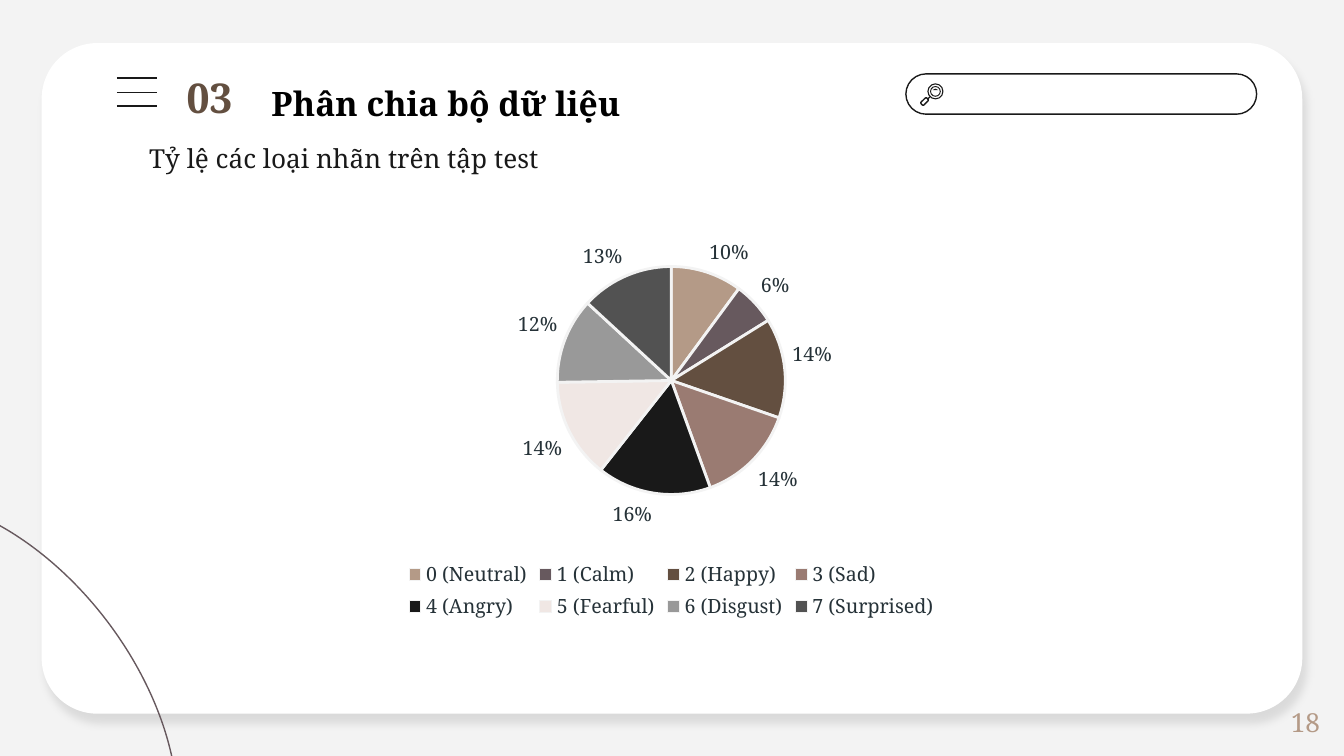
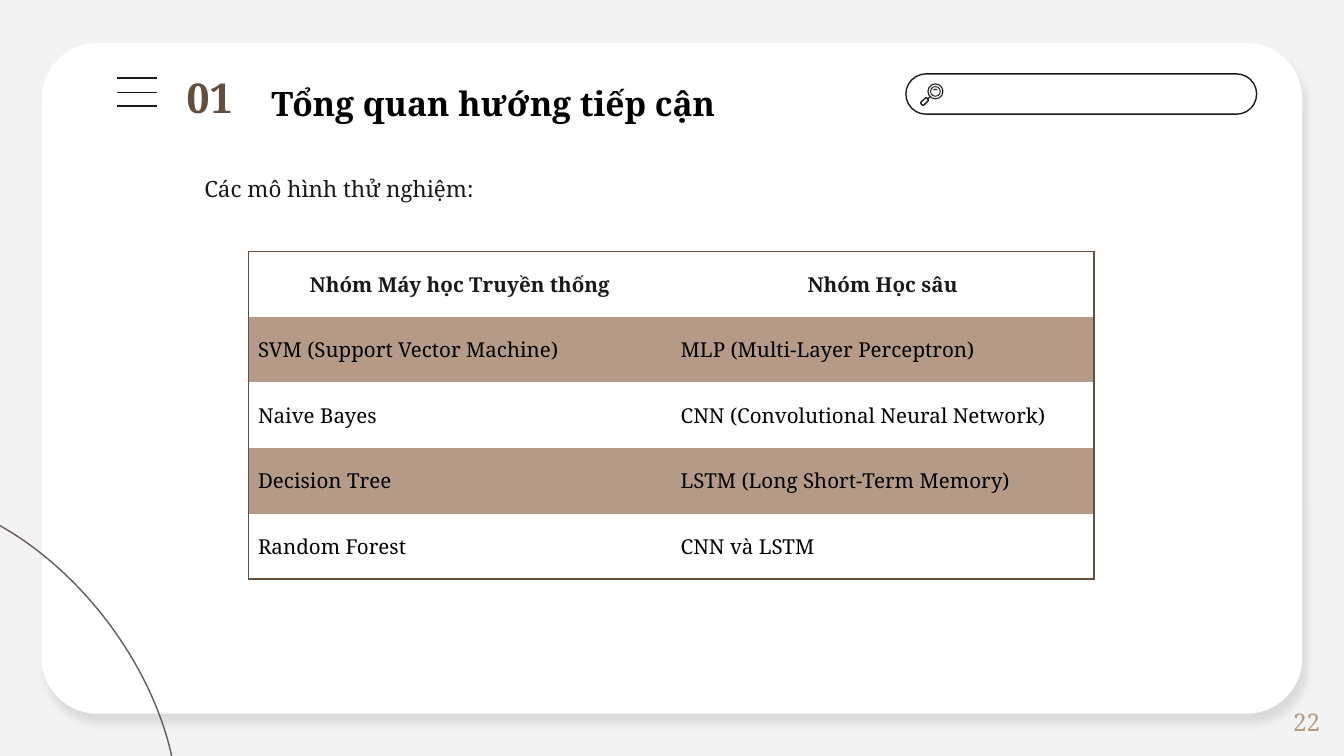
from lxml.etree import SubElement
from pptx import Presentation
from pptx.chart.data import CategoryChartData
from pptx.dml.color import RGBColor
from pptx.enum.chart import XL_CHART_TYPE, XL_LABEL_POSITION, XL_LEGEND_POSITION
from pptx.enum.shapes import MSO_CONNECTOR, MSO_SHAPE as SHAPE
from pptx.enum.text import MSO_ANCHOR as ANCHOR, MSO_AUTO_SIZE, PP_ALIGN as ALIGN
from pptx.oxml.ns import qn
from pptx.util import Inches, Pt

FONT = "Noto Serif"
COLORS = {
    "background": "F3F3F3",
    "panel": "FFFFFF",
    "ink": "191919",
    "black": "000000",
    "plum": "67595E",
    "brown": "634F40",
    "tan": "B49A87",
    "chart_text": "263238",
    "rose": "9A7B72",
    "blush": "F0E7E4",
    "gray": "999999",
    "dark_gray": "525252",
}
NO_GRID_STYLE = "{2D5ABB26-0587-4C30-8999-92F81FD0307C}"


def color(name):
    return RGBColor.from_string(COLORS[name])


def box(*lengths):
    return [Inches(length) for length in lengths]


# Text
def style_font(font, size, color_name, bold=False):
    font.name = FONT
    font.size = Pt(size)
    font.bold = bold
    font.color.rgb = color(color_name)


def set_text(frame, text, size, color_name, bold=False, align=ALIGN.LEFT, spacing=1.0):
    frame.text = text
    paragraph = frame.paragraphs[0]
    paragraph.alignment = align
    paragraph.line_spacing = spacing
    paragraph.space_before = Pt(0)
    style_font(paragraph.runs[0].font, size, color_name, bold)
    return paragraph


def fill_placeholder(shape, at, text, size, color_name, **options):
    shape.left, shape.top, shape.width, shape.height = box(*at)
    frame = shape.text_frame
    frame.word_wrap = True
    frame.auto_size = MSO_AUTO_SIZE.NONE
    frame.vertical_anchor = ANCHOR.TOP
    frame.margin_left = frame.margin_right = Inches(0.1)
    frame.margin_top = frame.margin_bottom = Inches(0.1)
    return set_text(frame, text, size, color_name, **options)


def add_label(slide, at, text, size, color_name, anchor=ANCHOR.TOP, **options):
    frame = slide.shapes.add_textbox(*box(*at)).text_frame
    frame.word_wrap = True
    frame.vertical_anchor = anchor
    set_text(frame, text, size, color_name, **options)


# Shapes and lines
def style_shape(shape, fill=None, line=None):
    shape.shadow.inherit = False
    if fill:
        shape.fill.solid()
        shape.fill.fore_color.rgb = color(fill)
    else:
        shape.fill.background()
    if line:
        shape.line.color.rgb = color(line)
        shape.line.width = Pt(0.75)
    else:
        shape.line.fill.background()


def add_shape(slide, kind, at, fill=None, line=None, adjust=None, rotation=0):
    shape = slide.shapes.add_shape(kind, *box(*at))
    style_shape(shape, fill, line)
    if adjust is not None:
        shape.adjustments[0] = adjust
    shape.rotation = rotation
    return shape


def add_line(slide, start, end):
    line = slide.shapes.add_connector(MSO_CONNECTOR.STRAIGHT, *box(*start, *end))
    line.line.color.rgb = color("ink")
    line.line.width = Pt(0.75)
    SubElement(line.element.spPr, qn("a:effectLst"))


def add_soft_shadow(shape):
    effects = shape.element.spPr.find(qn("a:effectLst"))
    shadow = SubElement(effects, qn("a:outerShdw"), blurRad=str(Pt(4.5)),
                        dist=str(Pt(6)), dir=str(68 * 60000),
                        algn="bl", rotWithShape="0")
    tint = SubElement(shadow, qn("a:srgbClr"), val=COLORS["black"])
    SubElement(tint, qn("a:alpha"), val="10000")


# Shared frame, kept on the layout
def add_magnifier(slide):
    add_shape(slide, SHAPE.DONUT, (6.9, 0.62, 0.12, 0.12), fill="ink", adjust=0.07)
    add_shape(slide, SHAPE.DONUT, (6.92, 0.64, 0.08, 0.08), fill="ink", adjust=0.09)
    add_shape(slide, SHAPE.ROUNDED_RECTANGLE, (6.85, 0.74, 0.06, 0.03),
              line="ink", adjust=0.3, rotation=-45)
    add_line(slide, (6.9, 0.74), (6.92, 0.72))
    builder = slide.shapes.build_freeform(Inches(6.94), Inches(0.67), scale=1.0)
    builder.add_line_segments([box(6.96, 0.66), box(6.98, 0.67), box(6.96, 0.67)])
    style_shape(builder.convert_to_shape(), fill="ink")


def draw_frame(slide):
    panel = add_shape(slide, SHAPE.ROUNDED_RECTANGLE, (0.31, 0.32, 9.38, 4.99),
                      fill="panel", adjust=0.083)
    add_soft_shadow(panel)
    add_shape(slide, SHAPE.OVAL, (-1.96, 4.17, 3.68, 2.31), line="plum", rotation=53)
    for y in (0.58, 0.69, 0.79):
        add_line(slide, (0.87, y), (1.17, y))
    add_shape(slide, SHAPE.ROUNDED_RECTANGLE, (6.74, 0.55, 2.61, 0.3),
              line="ink", adjust=0.5)
    add_magnifier(slide)


def move_frame_to_layout(slide):
    layout = slide.slide_layout
    layout.background.fill.solid()
    layout.background.fill.fore_color.rgb = color("background")
    tree = layout.shapes.element
    for shape in list(slide.shapes):
        if not shape.is_placeholder:
            tree.append(shape.element)
    for number, properties in enumerate(tree.iter(qn("p:cNvPr")), start=1):
        properties.set("id", str(number))


# Slide heading, lead sentence and page number
def add_heading(slide, number, title):
    fill_placeholder(slide.shapes.title, (1.92, 0.46, 7.27, 0.5), title, 18, "black",
                     bold=True, align=ALIGN.JUSTIFY, spacing=1.2)
    add_label(slide, (1.29, 0.49, 0.58, 0.47), number, 22, "brown", bold=True)


def add_lead(slide, at, text, size, indent=0.0, spacing=1.0):
    paragraph = fill_placeholder(slide.placeholders[1], at, text, size, "ink",
                                 spacing=spacing)
    properties = paragraph._p.get_or_add_pPr()
    properties.set("marL", str(Inches(indent)))
    properties.set("indent", "0")
    SubElement(properties, qn("a:buNone"))


def add_page_number(slide, number, size):
    add_label(slide, (7.67, 5.22, 2.25, 0.3), number, size, "tan",
              anchor=ANCHOR.MIDDLE, align=ALIGN.RIGHT)


# Chart
def add_pie(slide, at, slices):
    data = CategoryChartData()
    data.categories = [name for name, _, _ in slices]
    data.add_series("Series 1", [value for _, value, _ in slices])
    chart = slide.shapes.add_chart(XL_CHART_TYPE.PIE, *box(*at), data).chart
    chart.has_title = False
    style_font(chart.font, 10.5, "chart_text")
    chart.has_legend = True
    chart.legend.position = XL_LEGEND_POSITION.BOTTOM
    chart.legend.include_in_layout = False
    style_font(chart.legend.font, 10.5, "chart_text")

    plot = chart.plots[0]
    plot.vary_by_categories = True
    series = plot.series[0]
    for index, (_, _, fill) in enumerate(slices):
        look = series.points[index].format
        look.fill.solid()
        look.fill.fore_color.rgb = color(fill)
        look.line.color.rgb = color("background")
        look.line.width = Pt(1.5)

    labels = series.data_labels
    labels.show_value = False
    labels.show_percentage = True
    labels.number_format = "0%"
    labels.number_format_is_linked = False
    labels.position = XL_LABEL_POSITION.OUTSIDE_END
    style_font(labels.font, 10.5, "chart_text")
    place_plot(chart, x=0.33, y=0.12, w=0.34, h=0.56)


def place_plot(chart, **fractions):
    area = chart.element.find(".//" + qn("c:plotArea"))
    for old_layout in area.findall(qn("c:layout")):
        area.remove(old_layout)
    layout = SubElement(area, qn("c:layout"))
    area.insert(0, layout)
    manual = SubElement(layout, qn("c:manualLayout"))
    SubElement(manual, qn("c:layoutTarget"), val="inner")
    for side in "xy":
        SubElement(manual, qn(f"c:{side}Mode"), val="edge")
    for side, fraction in fractions.items():
        SubElement(manual, qn(f"c:{side}"), val=str(fraction))


# Table
def add_borders(cell, sides):
    properties = cell._tc.get_or_add_tcPr()
    for side in sides:
        line = SubElement(properties, qn(f"a:ln{side}"), w=str(Pt(1)))
        fill = SubElement(line, qn("a:solidFill"))
        SubElement(fill, qn("a:srgbClr"), val=COLORS["brown"])


def fill_cell(cell, text, is_header, banded):
    cell.vertical_anchor = ANCHOR.MIDDLE
    margin = Inches(0.01 if is_header else 0.07)
    cell.margin_left = cell.margin_right = margin
    cell.margin_top = cell.margin_bottom = margin
    cell.fill.solid()
    cell.fill.fore_color.rgb = color("tan" if banded else "panel")
    set_text(cell.text_frame, text, 11, "ink" if is_header else "black",
             bold=is_header, align=ALIGN.CENTER if is_header else ALIGN.LEFT)


def add_model_table(slide, at, rows):
    last_row, last_column = len(rows) - 1, len(rows[0]) - 1
    frame = slide.shapes.add_table(len(rows), len(rows[0]), *box(*at))
    table = frame.table
    table.first_row = table.horz_banding = False
    for style in frame.element.iter(qn("a:tableStyleId")):
        style.text = NO_GRID_STYLE
    for r, row in enumerate(rows):
        for c, text in enumerate(row):
            cell = table.cell(r, c)
            edges = {"L": c == 0, "R": c == last_column, "T": r == 0, "B": r == last_row}
            add_borders(cell, [side for side, outer in edges.items() if outer])
            fill_cell(cell, text, is_header=r == 0, banded=r % 2 == 1)


def main():
    presentation = Presentation()
    presentation.slide_width = Inches(10)
    presentation.slide_height = Inches(10 * 9 / 16)
    layout = presentation.slide_layouts[1]

    # Label shares in the test set
    slide = presentation.slides.add_slide(layout)
    draw_frame(slide)
    move_frame_to_layout(slide)
    add_page_number(slide, "18", 14)
    add_heading(slide, "03", "Phân chia bộ dữ liệu")
    add_lead(slide, (1.01, 0.96, 6.98, 0.47), "Tỷ lệ các loại nhãn trên tập test", 14)
    add_pie(slide, (2.47, 1.62, 5.05, 3.03), [
        ("0 (Neutral)", 10, "tan"),
        ("1 (Calm)", 6, "plum"),
        ("2 (Happy)", 14, "brown"),
        ("3 (Sad)", 14, "rose"),
        ("4 (Angry)", 16, "ink"),
        ("5 (Fearful)", 14, "blush"),
        ("6 (Disgust)", 12, "gray"),
        ("7 (Surprised)", 13, "dark_gray"),
    ])

    # Models tried
    slide = presentation.slides.add_slide(layout)
    add_page_number(slide, "22", 13)
    add_heading(slide, "01", "Tổng quan hướng tiếp cận")
    add_lead(slide, (1.29, 1.16, 6.86, 0.48), "Các mô hình thử nghiệm:", 12,
             indent=0.13, spacing=1.2)
    add_model_table(slide, (1.85, 1.87, 6.29, 2.44), [
        ("Nhóm Máy học Truyền thống", "Nhóm Học sâu"),
        ("SVM (Support Vector Machine)", "MLP (Multi-Layer Perceptron)"),
        ("Naive Bayes", "CNN (Convolutional Neural Network)"),
        ("Decision Tree", "LSTM (Long Short-Term Memory)"),
        ("Random Forest", "CNN và LSTM"),
    ])

    presentation.save("out.pptx")


if __name__ == "__main__":
    main()
